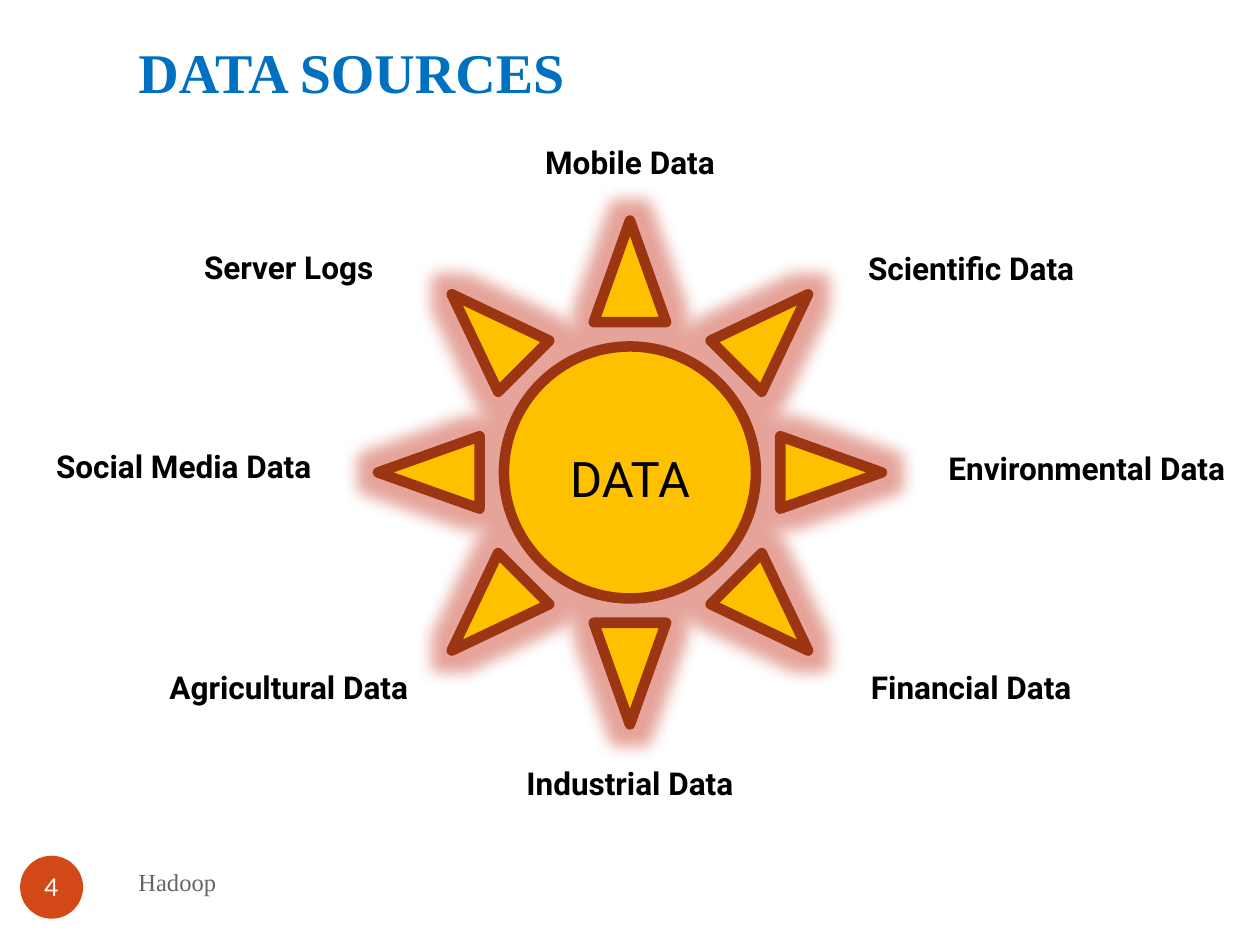
from lxml import etree
from pptx import Presentation
from pptx.dml.color import RGBColor
from pptx.enum import shapes, text
from pptx.oxml.ns import qn
from pptx.util import Pt

COLORS = {"title": "0070C0", "ink": "000000", "foot": "696464", "white": "FFFFFF",
          "badge": "D34817", "sun": "FFC000", "edge": "9C3511", "glow": "BE1902"}
MID, LEFT, TOP = text.MSO_ANCHOR.MIDDLE, text.PP_ALIGN.LEFT, text.MSO_ANCHOR.TOP

# Label, centre x, top, width: clockwise from the top ray
SOURCES = [
    ("Mobile Data", 360, 78, 120),
    ("Scientific Data", 555, 139, 150),
    ("Environmental Data", 621, 253, 198),
    ("Financial Data", 555, 378, 150),
    ("Industrial Data", 360, 433, 144),
    ("Agricultural Data", 165, 378, 162),
    ("Social Media Data", 105, 252, 198),
    ("Server Logs", 165, 138, 150),
]


def color(name):
    return RGBColor.from_string(COLORS[name])


def write(shape, words, size, font, ink, bold=False,
          align=text.PP_ALIGN.CENTER, anchor=TOP):
    frame = shape.text_frame
    frame.text = words
    frame.word_wrap = True
    frame.vertical_anchor = anchor
    para = frame.paragraphs[0]
    para.alignment = align
    face = para.runs[0].font
    face.size, face.name, face.bold = Pt(size), font, bold
    face.color.rgb = color(ink)


def label(box, *args, **style):
    write(slide.shapes.add_textbox(*map(Pt, box)), *args, **style)


def draw(kind, box, fill):
    shape = slide.shapes.add_shape(kind, *map(Pt, box))
    shape.shadow.inherit = False
    shape.fill.solid()
    shape.fill.fore_color.rgb = color(fill)
    return shape


def add_glow(shape, radius, alpha):
    effects = shape._element.spPr.find(qn("a:effectLst"))
    glow = etree.SubElement(effects, qn("a:glow"), rad=str(Pt(radius)))
    tint = etree.SubElement(glow, qn("a:srgbClr"), val=COLORS["glow"])
    etree.SubElement(tint, qn("a:alpha"), val=str(alpha * 1000))


deck = Presentation()
deck.slide_width, deck.slide_height = Pt(720), Pt(540)
slide = deck.slides.add_slide(deck.slide_layouts[6])

# Footer and page badge
label((72, 486, 312, 36), "Hadoop", 14, "Times New Roman", "foot",
      align=LEFT, anchor=MID)
badge = draw(shapes.MSO_SHAPE.OVAL, (11.5, 489, 36, 36), "badge")
badge.line.fill.background()
write(badge, "4", 14, "Lato", "white", anchor=MID)
frame = badge.text_frame
frame.margin_left = frame.margin_right = frame.margin_top = frame.margin_bottom = 0
frame.word_wrap = False

# Sun with its centre word
sun = draw(shapes.MSO_SHAPE.SUN, (216, 126, 288, 288), "sun")
sun.line.color.rgb = color("edge")
sun.line.width = Pt(6)
add_glow(sun, 18, 40)
label((312, 253, 96, 41), "DATA", 28, "Roboto", "ink")

# Sources around the sun
for words, mid, top, width in SOURCES:
    label((mid - width / 2, top, width, 29), words, 18, "Roboto", "ink", bold=True)

# Title
label((72, 18, 288, 46), "DATA SOURCES", 32, "Times New Roman", "title",
      bold=True, align=LEFT)

deck.save("out.pptx")
